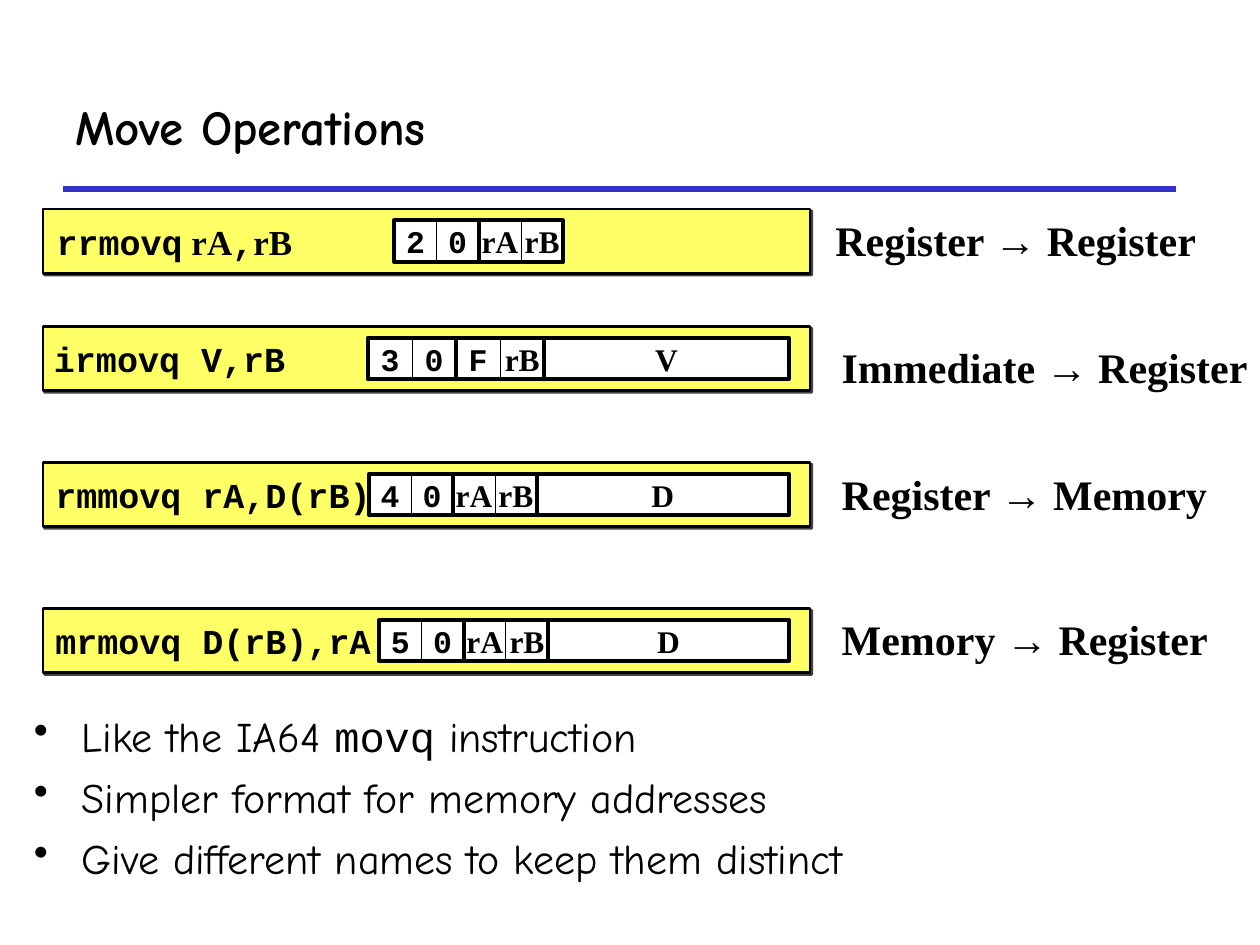
from dataclasses import dataclass

from lxml.etree import SubElement
from pptx import Presentation
from pptx.dml.color import RGBColor
from pptx.enum.shapes import MSO_CONNECTOR, MSO_SHAPE
from pptx.enum.text import MSO_ANCHOR, MSO_AUTO_SIZE, PP_ALIGN
from pptx.oxml.ns import qn
from pptx.util import Inches, Pt

SANS, MONO, SERIF, ARROW = "Comic Neue", "Courier New", "Times New Roman", "Arial"
BLACK, WHITE, YELLOW, BLUE = "000000", "FFFFFF", "FFFF66", "3333CC"
BAR_LEFT, BAR_WIDTH, BAR_HIGH = 0.34, 6.09, 0.51
CELL_HIGH, CELL_END = 0.33, 6.26

Run = tuple[str, str]


@dataclass
class Move:
    top: float
    code: list[Run]
    code_left: float
    code_width: float
    cell_left: float
    cell_width: float
    pairs: list[tuple[str, str]]
    const: str
    source: str
    target: str
    label: tuple[float, float, float]


MOVES = [
    Move(1.66, [("rrmovq", MONO), (" rA", SERIF), (",", MONO), ("rB", SERIF)],
         0.35, 2.09, 3.13, 0.335, [("2", "0"), ("rA", "rB")], "",
         "Register", "Register", (6.58, 1.65, 2.97)),
    Move(2.59, [("irmovq V,rB", MONO)],
         0.33, 2.18, 2.92, 0.35, [("3", "0"), ("F", "rB")], "V",
         "Immediate", "Register", (6.63, 2.66, 3.33)),
    Move(3.67, [("rmmovq rA,D(rB)", MONO)],
         0.34, 2.09, 2.93, 0.333, [("4", "0"), ("rA", "rB")], "D",
         "Register", "Memory", (6.63, 3.67, 3.01)),
    Move(4.83, [("mrmovq D(rB),rA", MONO)],
         0.34, 2.09, 3.01, 0.335, [("5", "0"), ("rA", "rB")], "D",
         "Memory", "Register", (6.63, 4.82, 3.01)),
]
NOTES = [
    [("Like the IA64 ", SANS), ("movq", MONO), (" instruction", SANS)],
    [("Simpler format for memory addresses", SANS)],
    [("Give different names to keep them distinct", SANS)],
]


def color(code: str) -> RGBColor:
    return RGBColor.from_string(code)


def add_bullet(para, indent: float) -> None:
    props = para._p.get_or_add_pPr()
    props.set("marL", str(Inches(indent)))
    props.set("indent", str(-Inches(indent)))
    SubElement(props, qn("a:buChar")).set("char", "•")


def write(shape, lines: list[list[Run]], *, size: float, bold: bool = True,
          align=PP_ALIGN.LEFT, anchor=MSO_ANCHOR.MIDDLE, inset: float = 0.1,
          wrap: bool = False, grow: bool = False, gap: float = 0,
          bullet: float = 0) -> None:
    frame = shape.text_frame
    frame.word_wrap = wrap
    frame.auto_size = MSO_AUTO_SIZE.SHAPE_TO_FIT_TEXT if grow else MSO_AUTO_SIZE.NONE
    frame.vertical_anchor = anchor
    frame.margin_left = frame.margin_right = Inches(inset)
    frame.margin_top = frame.margin_bottom = Inches(0.05)
    for i, runs in enumerate(lines):
        para = frame.add_paragraph() if i else frame.paragraphs[0]
        para.alignment = align
        if i and gap:
            para.space_before = Pt(gap)
        if bullet:
            add_bullet(para, bullet)
        for text, face in runs:
            run = para.add_run()
            run.text = text
            run.font.name, run.font.size, run.font.bold = face, Pt(size), bold
            run.font.color.rgb = color(BLACK)


def add_text(slide, left: float, top: float, width: float, height: float,
             lines: list[list[Run]], **style) -> None:
    box = slide.shapes.add_textbox(
        Inches(left), Inches(top), Inches(width), Inches(height))
    write(box, lines, **style)


def add_box(slide, left: float, top: float, width: float, height: float,
            fill: str, line: float):
    """Draw a black-edged rectangle; an empty fill leaves it clear."""
    box = slide.shapes.add_shape(
        MSO_SHAPE.RECTANGLE, Inches(left), Inches(top), Inches(width), Inches(height))
    box.shadow.inherit = False
    if fill:
        box.fill.solid()
        box.fill.fore_color.rgb = color(fill)
    else:
        box.fill.background()
    box.line.color.rgb = color(BLACK)
    box.line.width = Pt(line)
    return box


def add_shadow(shape) -> None:
    effects = shape._element.spPr.find(qn("a:effectLst"))
    outer = SubElement(effects, qn("a:outerShdw"), dist=str(Pt(1.4)),
                       dir=str(45 * 60000), algn="ctr", rotWithShape="0")
    tint = SubElement(outer, qn("a:srgbClr"), val=BLACK)
    SubElement(tint, qn("a:alpha"), val="75000")


def add_cell(slide, left: float, top: float, width: float, text: str,
             line: float = 0.5) -> None:
    face = MONO if text in "0123456789F" else SERIF
    cell = add_box(slide, left, top, width, CELL_HIGH, WHITE, line)
    write(cell, [[(text, face)]], size=18, align=PP_ALIGN.CENTER)


def add_move(slide, move: Move) -> None:
    """Draw one instruction: its bar, code, encoded bytes and label."""
    add_shadow(add_box(slide, BAR_LEFT, move.top, BAR_WIDTH, BAR_HIGH, YELLOW, 1.5))
    top = move.top + (BAR_HIGH - CELL_HIGH) / 2
    add_text(slide, move.code_left, top, move.code_width, CELL_HIGH,
             [move.code], size=20)
    left, width = move.cell_left, move.cell_width
    for pair in move.pairs:
        for i, text in enumerate(pair):
            add_cell(slide, left + i * width, top, width, text)
        add_box(slide, left, top, 2 * width, CELL_HIGH, "", 2.25)
        left += 2 * width
    if move.const:
        add_cell(slide, left, top, CELL_END - left, move.const, 2.25)
    label = [(move.source + " ", SERIF), ("→", ARROW), (" " + move.target, SERIF)]
    add_text(slide, *move.label, BAR_HIGH, [label], size=24, inset=0.05,
             anchor=MSO_ANCHOR.TOP, grow=True)


def add_rule(slide) -> None:
    rule = slide.shapes.add_connector(
        MSO_CONNECTOR.STRAIGHT, Inches(0.5), Inches(1.5), Inches(9.33), Inches(1.5))
    rule.line.color.rgb = color(BLUE)
    rule.line.width = Pt(3)
    SubElement(rule._element.spPr, qn("a:effectLst"))


def main() -> None:
    deck = Presentation()
    deck.slide_width, deck.slide_height = Inches(10), Inches(7.5)
    slide = deck.slides.add_slide(deck.slide_layouts[6])
    add_rule(slide)
    add_text(slide, 0.5, 0.5, 8.83, 1, [[("Move Operations", SANS)]],
             size=28, wrap=True)
    add_text(slide, 0.17, 5.59, 8.43, 1.7, NOTES, size=24, bold=False,
             anchor=MSO_ANCHOR.TOP, wrap=True, gap=6, bullet=0.38)
    for move in MOVES:
        add_move(slide, move)
    deck.save("out.pptx")


if __name__ == "__main__":
    main()
